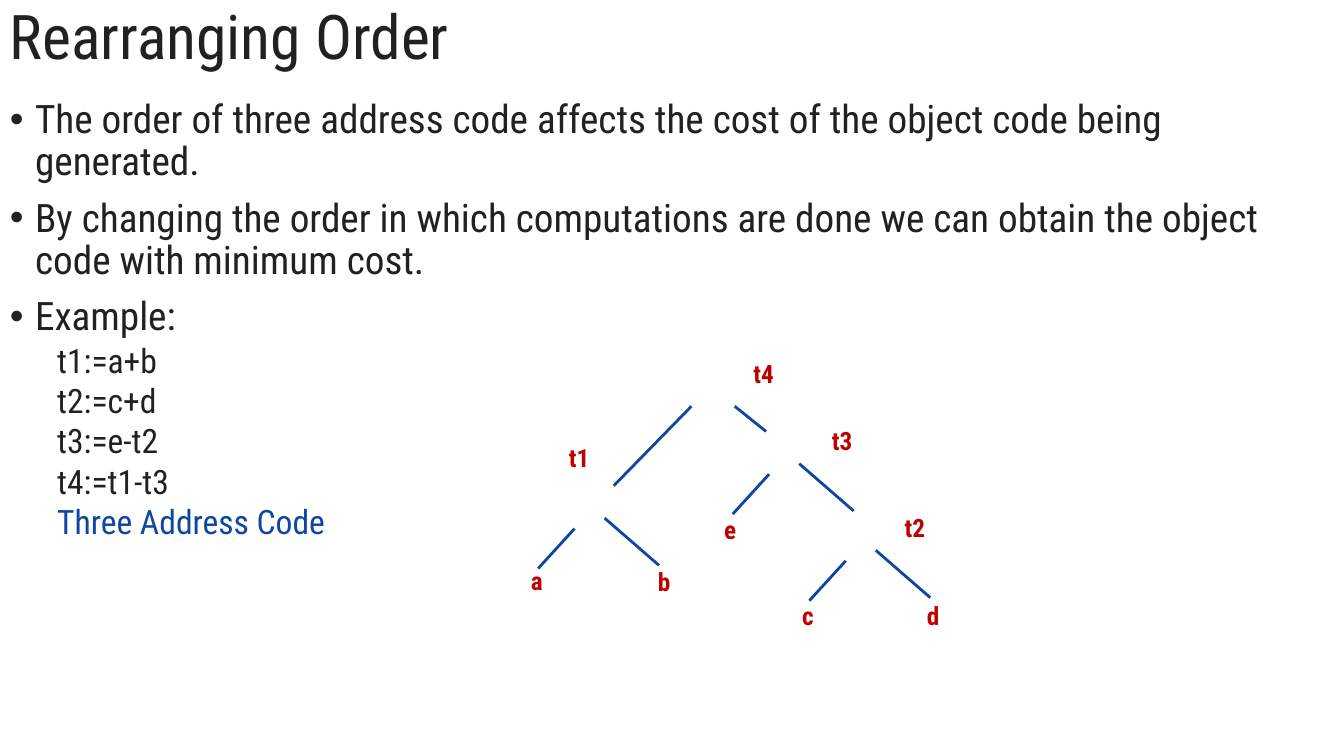
from dataclasses import dataclass

from lxml.etree import SubElement
from pptx import Presentation
from pptx.dml.color import RGBColor
from pptx.enum.shapes import MSO_CONNECTOR
from pptx.enum.text import MSO_ANCHOR, PP_ALIGN
from pptx.oxml.ns import qn
from pptx.util import Pt


@dataclass(frozen=True)
class Theme:
    font: str = "Roboto Condensed"
    ink: str = "212121"
    blue: str = "0E47A1"
    red: str = "C00000"
    title: int = 44
    body: int = 28
    code: int = 24
    label: int = 18
    line: int = 2


THEME = Theme()

POINTS = [
    "The order of three address code affects the cost of the object code being generated.",
    "By changing the order in which computations are done we can obtain the object code with minimum cost.",
    "Example:",
]
CODE = ["t1:=a+b", "t2:=c+d", "t3:=e-t2", "t4:=t1-t3"]
LABELS = [
    ("a", 14.8, 162.7), ("b", 105.8, 163.4), ("c", 208.4, 187.9),
    ("d", 298, 187.9), ("e", 153, 126), ("t1", 45, 74.5),
    ("t2", 284.8, 124.6), ("t3", 232.9, 62.6), ("t4", 176.8, 15.1),
]
FORKS = [(15.8, 118.1), (209.5, 141.1), (154.8, 79.2)]
ARMS = [((0, 36), (26, 7.5)), ((47.5, 0), (86.4, 33.8))]
ROOT = [((125.3, 38.2), (69.8, 95)), ((156.2, 38.2), (178.6, 56.2))]


def add_box(slide, box, anchor=MSO_ANCHOR.MIDDLE):
    frame = slide.shapes.add_textbox(*map(Pt, box)).text_frame
    frame.word_wrap = True
    frame.vertical_anchor = anchor
    return frame


def add_text(frame, index, text, size, color, bold=False):
    para = frame.add_paragraph() if index else frame.paragraphs[0]
    run = para.add_run()
    run.text = text
    run.font.name = THEME.font
    run.font.size = Pt(size)
    run.font.bold = bold
    run.font.color.rgb = RGBColor.from_string(color)
    return para


def add_title(slide, box):
    para = add_text(add_box(slide, box), 0, "Rearranging Order", THEME.title, THEME.ink)
    para.line_spacing = 0.9


def add_points(slide, box):
    frame = add_box(slide, box, MSO_ANCHOR.TOP)
    for index, text in enumerate(POINTS):
        para = add_text(frame, index, text, THEME.body, THEME.ink)
        props = para._p.get_or_add_pPr()
        props.set("marL", str(Pt(18)))
        props.set("indent", str(-Pt(18)))
        SubElement(props, qn("a:buFont"), typeface="Arial")
        SubElement(props, qn("a:buChar"), char="•")
        para.line_spacing = 0.9
        if index:
            para.space_before = Pt(10)


def add_code(slide, box):
    frame = add_box(slide, box)
    for index, text in enumerate(CODE):
        add_text(frame, index, text, THEME.code, THEME.ink)
    add_text(frame, len(CODE), "Three Address Code", THEME.code, THEME.blue)


def add_arms(slide, left, top, arms):
    for (x1, y1), (x2, y2) in arms:
        ends = left + x1, top + y1, left + x2, top + y2
        arm = slide.shapes.add_connector(MSO_CONNECTOR.STRAIGHT, *map(Pt, ends))
        arm.line.color.rgb = RGBColor.from_string(THEME.blue)
        arm.line.width = Pt(THEME.line)
        SubElement(arm._element.spPr, qn("a:effectLst"))


def add_label(slide, text, x, y):
    width, height = 32, 30
    frame = add_box(slide, (x - width / 2, y - height / 2, width, height))
    frame.margin_left = frame.margin_right = 0
    para = add_text(frame, 0, text, THEME.label, THEME.red, True)
    para.alignment = PP_ALIGN.CENTER


def add_tree(slide, left, top):
    add_arms(slide, left, top, ROOT)
    for x, y in FORKS:
        add_arms(slide, left + x, top + y, ARMS)
    for text, x, y in LABELS:
        add_label(slide, text, left + x, top + y)


def main():
    deck = Presentation()
    deck.slide_width, deck.slide_height = Pt(960), Pt(540)
    slide = deck.slides.add_slide(deck.slide_layouts[6])
    add_title(slide, (0, 0, 960, 56))
    add_points(slide, (0, 67.7, 939.6, 440))
    add_code(slide, (33.8, 209.5, 214.6, 210.2))
    add_tree(slide, 368.6, 252)
    deck.save("out.pptx")


if __name__ == "__main__":
    main()
